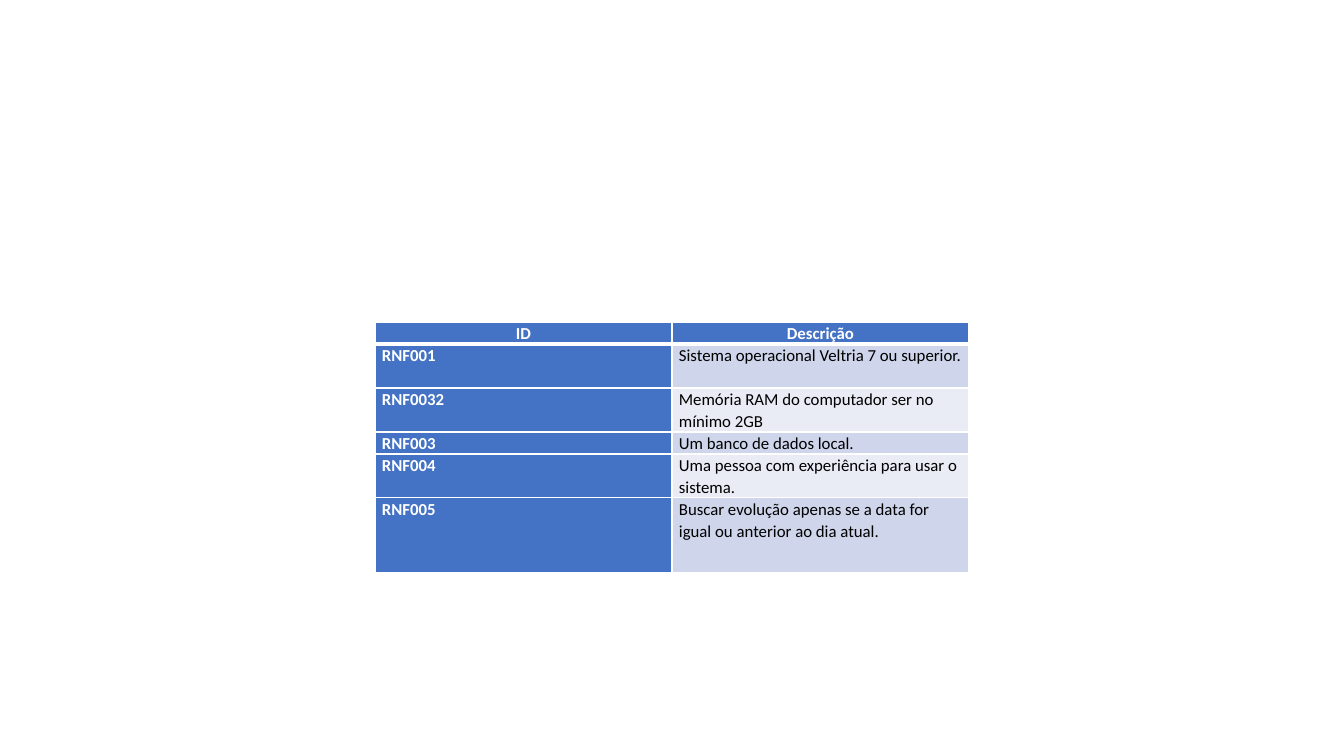
from lxml.etree import SubElement
from pptx import Presentation
from pptx.dml.color import RGBColor
from pptx.enum.text import PP_ALIGN
from pptx.oxml.ns import qn
from pptx.util import Pt

HEADER = ("ID", "Descrição")
REQUIREMENTS = [
    ("RNF001", "Sistema operacional Veltria 7 ou superior."),
    ("RNF0032", "Memória RAM do computador ser no mínimo 2GB"),
    ("RNF003", "Um banco de dados local."),
    ("RNF004", "Uma pessoa com experiência para usar o sistema."),
    ("RNF005", "Buscar evolução apenas se a data for igual ou anterior ao dia atual."),
]
ROW_HEIGHTS = [22, 44, 44, 22, 44, 75]
LEFT, TOP, COL_WIDTH, PAD = 375, 322, 297, 7
COLORS = {"white": "FFFFFF", "black": "000000", "blue": "4472C4",
          "odd": "CFD5EA", "even": "E9EBF5"}
PX = 12192000 / 1344


def px(n):
    return round(n * PX)


def add_borders(cell, widths):
    tcPr = cell._tc.get_or_add_tcPr()
    for i, (side, width) in enumerate(widths.items()):
        ln = SubElement(tcPr, qn(f"a:ln{side}"), w=str(Pt(width)))
        fill = SubElement(ln, qn("a:solidFill"))
        SubElement(fill, qn("a:srgbClr"), val=COLORS["white"])
        tcPr.insert(i, ln)


def fill_cell(cell, text, row, col):
    strong = row == 0 or col == 0
    band = "blue" if strong else "odd" if row % 2 else "even"
    cell.fill.solid()
    cell.fill.fore_color.rgb = RGBColor.from_string(COLORS[band])
    cell.margin_left = cell.margin_right = px(PAD)
    cell.margin_top = cell.margin_bottom = 0
    add_borders(cell, {"L": 1, "R": 1, "T": 3 if row == 1 else 1, "B": 3 if row == 0 else 1})
    p = cell.text_frame.paragraphs[0]
    p.alignment = PP_ALIGN.LEFT if row else PP_ALIGN.CENTER
    p.line_spacing = 1.07
    p.space_after = Pt(8)
    r = p.add_run()
    r.text = text
    r.font.name = "Calibri"
    r.font.size = Pt(12)
    r.font.bold = strong
    r.font.color.rgb = RGBColor.from_string(COLORS["white" if strong else "black"])


def main():
    """Build the slide with the table of non-functional requirements."""
    prs = Presentation()
    prs.slide_width, prs.slide_height = px(1344), px(756)
    s = prs.slides.add_slide(prs.slide_layouts[6])
    rows = [HEADER, *REQUIREMENTS]
    table = s.shapes.add_table(len(rows), len(HEADER), px(LEFT), px(TOP),
                               px(COL_WIDTH * len(HEADER)), px(sum(ROW_HEIGHTS))).table
    table.first_col = True
    for column in table.columns:
        column.width = px(COL_WIDTH)
    for i, (texts, height) in enumerate(zip(rows, ROW_HEIGHTS)):
        table.rows[i].height = px(height)
        for j, text in enumerate(texts):
            fill_cell(table.cell(i, j), text, i, j)
    prs.save("out.pptx")


if __name__ == "__main__":
    main()
